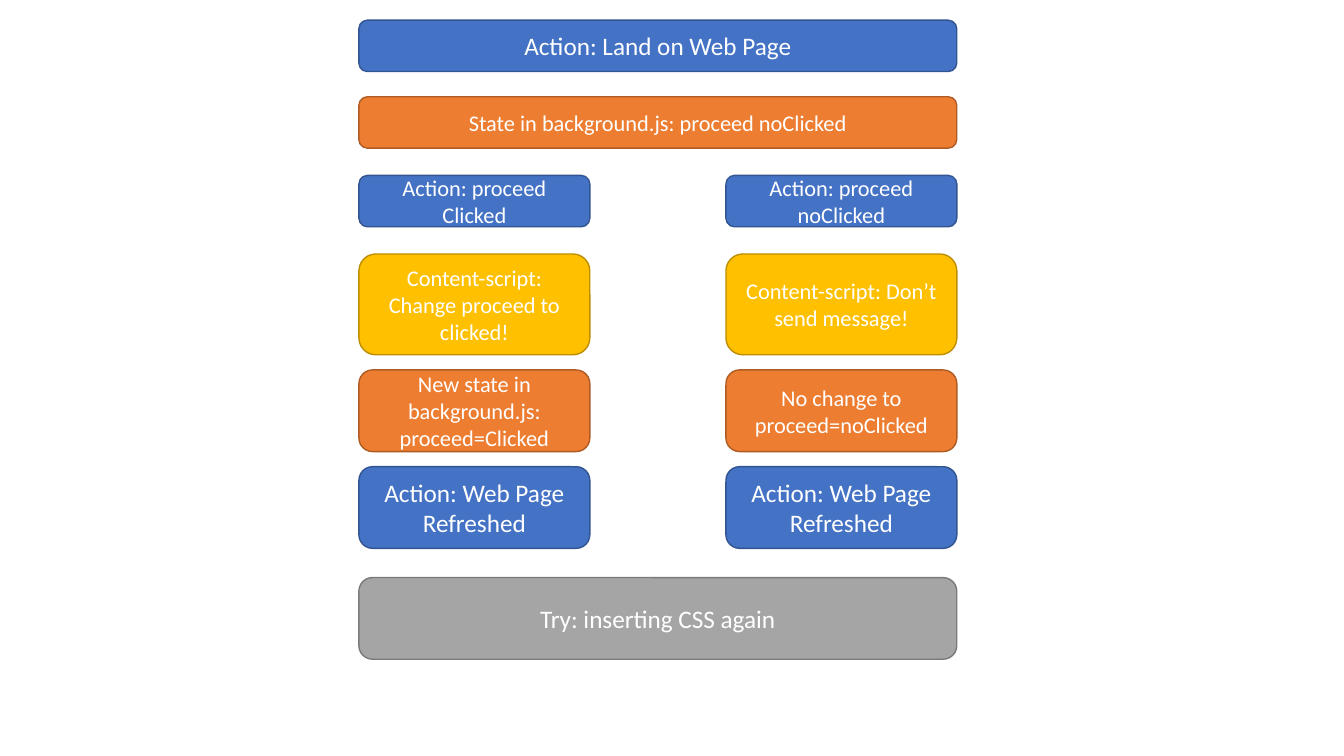
from dataclasses import dataclass

from pptx import Presentation
from pptx.dml.color import RGBColor
from pptx.enum.shapes import MSO_SHAPE
from pptx.enum.text import MSO_ANCHOR, PP_ALIGN
from pptx.slide import Slide
from pptx.util import Inches, Pt

ROUND = MSO_SHAPE.ROUNDED_RECTANGLE
MIDDLE = MSO_ANCHOR.MIDDLE
CENTER = PP_ALIGN.CENTER


@dataclass(frozen=True)
class Tone:
    fill: str
    line: str


@dataclass(frozen=True)
class Theme:
    action: Tone = Tone("4472C4", "325491")
    state: Tone = Tone("ED7D31", "AF5C24")
    script: Tone = Tone("FFC000", "BD8E00")
    test: Tone = Tone("A5A5A5", "7A7A7A")
    text: str = "FFFFFF"
    font: str = "Calibri"
    large: int = 18
    small: int = 16
    border: int = 1


@dataclass(frozen=True)
class Row:
    top: float
    height: float
    tone: Tone
    size: int
    labels: tuple[str, ...]


THEME = Theme()
LEFT, RIGHT = 3.56, 7.2
HALF = 2.29
FULL = RIGHT + HALF - LEFT

ROWS = (
    Row(0.2, 0.51, THEME.action, THEME.large, ("Action: Land on Web Page",)),
    Row(0.96, 0.51, THEME.state, THEME.small,
        ("State in background.js: proceed noClicked",)),
    Row(1.74, 0.51, THEME.action, THEME.small,
        ("Action: proceed Clicked", "Action: proceed noClicked")),
    Row(2.52, 1, THEME.script, THEME.small,
        ("Content-script: Change proceed to clicked!",
         "Content-script: Don’t send message!")),
    Row(3.67, 0.81, THEME.state, THEME.small,
        ("New state in background.js: proceed=Clicked",
         "No change to proceed=noClicked")),
    Row(4.63, 0.81, THEME.action, THEME.large,
        ("Action: Web Page Refreshed",) * 2),
    Row(5.73, 0.81, THEME.test, THEME.large, ("Try: inserting CSS again",)),
)


def draw_box(slide: Slide, row: Row, left: float, width: float,
             label: str) -> None:
    box = slide.shapes.add_shape(ROUND, Inches(left), Inches(row.top),
                                 Inches(width), Inches(row.height))
    box.shadow.inherit = False
    box.fill.solid()
    box.fill.fore_color.rgb = RGBColor.from_string(row.tone.fill)
    box.line.color.rgb = RGBColor.from_string(row.tone.line)
    box.line.width = Pt(THEME.border)
    frame = box.text_frame
    frame.word_wrap = True
    frame.vertical_anchor = MIDDLE
    para = frame.paragraphs[0]
    para.text = label
    para.alignment = CENTER
    para.font.name = THEME.font
    para.font.size = Pt(row.size)
    para.font.color.rgb = RGBColor.from_string(THEME.text)


def draw_row(slide: Slide, row: Row) -> None:
    width = FULL if len(row.labels) == 1 else HALF
    for left, label in zip((LEFT, RIGHT), row.labels):
        draw_box(slide, row, left, width, label)


def main() -> None:
    deck = Presentation()
    deck.slide_width = Inches(13.33)
    deck.slide_height = Inches(7.5)
    slide = deck.slides.add_slide(deck.slide_layouts[6])
    for row in ROWS:
        draw_row(slide, row)
    deck.save("out.pptx")


if __name__ == "__main__":
    main()
